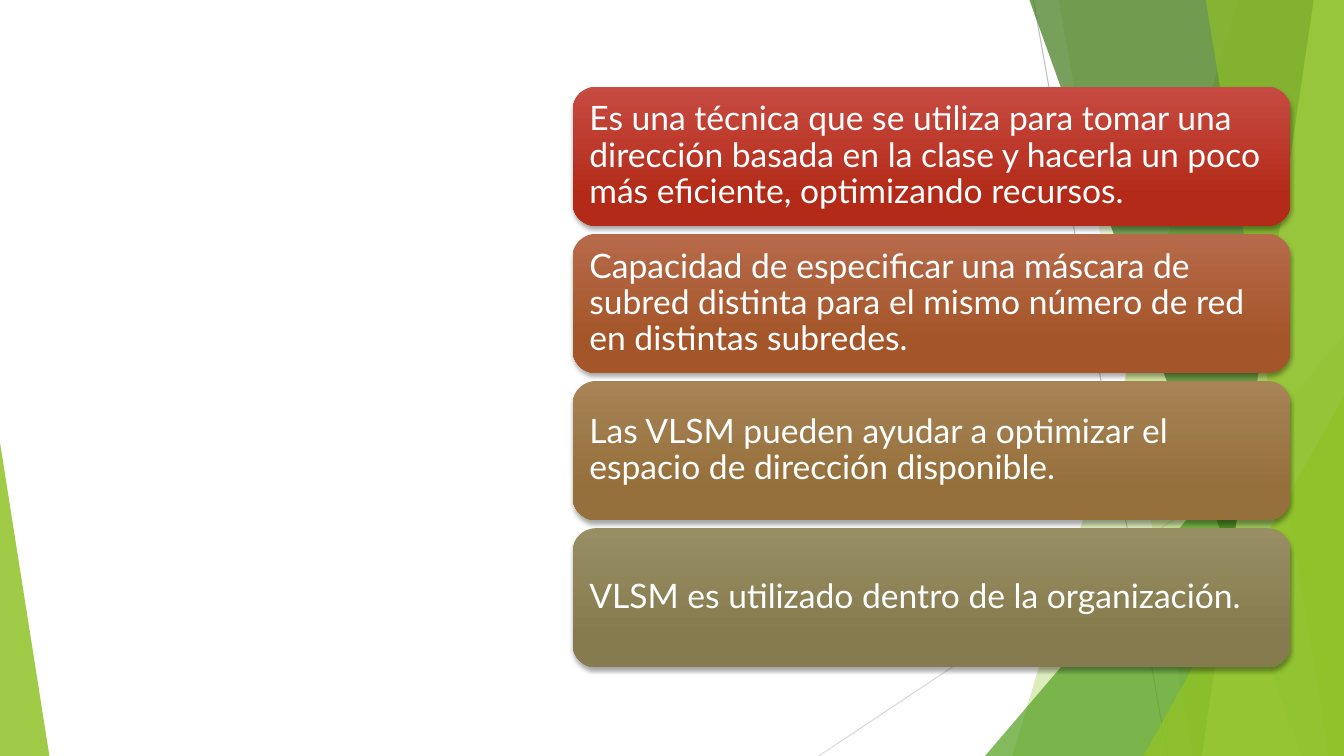
import pptx
import pptx.util
import pptx.dml.color
import pptx.enum.shapes
import pptx.enum.text
import pptx.oxml
import pptx.oxml.ns
from lxml import etree

PX = 9144  # 100 px to the inch
WIDE, HIGH = 1333, 750
RGB = pptx.dml.color.RGBColor
KIND = pptx.enum.shapes.MSO_SHAPE
qn = pptx.oxml.ns.qn

WHITE = RGB(0xFF, 0xFF, 0xFF)
GREY = RGB(0xBF, 0xBF, 0xBF)
PALE = RGB(0xD9, 0xD9, 0xD9)
LIME = RGB(0x90, 0xC2, 0x26)
LEAF = RGB(0x54, 0xA0, 0x21)
MOSS = RGB(0x3F, 0x78, 0x19)
MINT = RGB(0xC0, 0xE4, 0x74)

# Text, upper colour, lower colour
CARDS = [
    ("Es una técnica que se utiliza para tomar una dirección basada en la clase y "
     "hacerla un poco más eficiente, optimizando recursos.",
     RGB(0xC7, 0x4B, 0x42), RGB(0xB3, 0x2B, 0x18)),
    ("Capacidad de especificar una máscara de subred distinta para el mismo número "
     "de red en distintas subredes.",
     RGB(0xB7, 0x6A, 0x4A), RGB(0xA4, 0x55, 0x29)),
    ("Las VLSM pueden ayudar a optimizar el espacio de dirección disponible.",
     RGB(0xA7, 0x83, 0x56), RGB(0x95, 0x70, 0x3B)),
    ("VLSM es utilizado dentro de la organización.",
     RGB(0x98, 0x8E, 0x64), RGB(0x85, 0x7B, 0x4E)),
]


def px(*nums):
    return [pptx.util.Emu(n * PX) for n in nums]


def paint(shape, color, alpha):
    """Flat, see-through fill without line or shadow."""
    shape.shadow.inherit = False
    shape.line.fill.background()
    shape.fill.solid()
    shape.fill.fore_color.rgb = color
    tone = shape.fill._xPr.find(".//" + qn("a:srgbClr"))
    etree.SubElement(tone, qn("a:alpha"), val=str(alpha * 1000))


def add_line(slide, ends, color):
    line = slide.shapes.add_connector(
        pptx.enum.shapes.MSO_CONNECTOR.STRAIGHT, *px(*ends))
    line.line.color.rgb = color
    line.line.width = pptx.util.Pt(0.75)
    etree.SubElement(line._element.spPr, qn("a:effectLst"))


def add_band(slide, box, top, foot, color, alpha):
    """Band from a slanted left edge (top to foot) to the box's right side."""
    left, head, width, height = box
    right, base = left + width, head + height
    form = slide.shapes.build_freeform(left + top, head, scale=PX)
    form.add_line_segments([(right, head), (right, base), (left + foot, base)])
    paint(form.convert_to_shape(), color, alpha)


def add_wedge(slide, box, width, height, color, alpha, right=True):
    """Right-angled triangle in a lower corner of the box."""
    x = box[0] + box[2] - width if right else box[0]
    y = box[1] + box[3] - height
    wedge = slide.shapes.add_shape(KIND.ISOSCELES_TRIANGLE, *px(x, y, width, height))
    wedge.adjustments[0] = 1 if right else 0
    paint(wedge, color, alpha)


def add_decor(slide, box):
    x, y, width, height = box
    right, base = x + width, y + height
    # Thin lines
    add_line(slide, (x + 1025, y, x + 1158, base), GREY)
    add_line(slide, (right, y + 403, x + 812, base), PALE)
    # Overlapping facets, back to front
    add_band(slide, box, 1228, 1004, LIME, 30)
    add_band(slide, box, 1050, 1183, LIME, 20)
    add_wedge(slide, box, 356, 417, LEAF, 72)
    add_band(slide, box, 1021, 1291, MOSS, 70)
    add_band(slide, box, 1303, 1192, MINT, 70)
    add_band(slide, box, 1196, 1318, LIME, 65)
    add_wedge(slide, box, 199, 357, LIME, 80)
    add_wedge(slide, box, 49, 311, LIME, 85, right=False)


def add_shade(shape):
    shape.shadow.inherit = False
    effect = shape._element.spPr.find(qn("a:effectLst"))
    shade = etree.SubElement(
        effect, qn("a:outerShdw"), blurRad=str(pptx.util.Pt(3)),
        dist=str(pptx.util.Pt(2)), dir="5400000", rotWithShape="0")
    tone = etree.SubElement(shade, qn("a:srgbClr"), val="000000")
    etree.SubElement(tone, qn("a:alpha"), val="35000")


def add_card(slide, box, text, upper, lower):
    card = slide.shapes.add_shape(KIND.ROUNDED_RECTANGLE, *px(*box))
    add_shade(card)
    card.line.fill.background()
    # Gradient from top to bottom
    card.fill.gradient()
    card.fill.gradient_angle = 270
    for stop, color, place in zip(card.fill.gradient_stops, (upper, lower), (0, 0.78)):
        stop.color.rgb = color
        stop.position = place
    # Text
    frame = card.text_frame
    frame.word_wrap = True
    frame.vertical_anchor = pptx.enum.text.MSO_ANCHOR.MIDDLE
    (frame.margin_left, frame.margin_top,
     frame.margin_right, frame.margin_bottom) = px(10, 10, 10, 10)
    frame.text = text
    para = frame.paragraphs[0]
    para.alignment = pptx.enum.text.PP_ALIGN.LEFT
    para.line_spacing = 0.9
    font = para.runs[0].font
    font.name = "Lato"
    font.size = pptx.util.Pt(24)
    font.color.rgb = WHITE


def add_list(slide, box):
    left, top, width, height = box
    gap = 8
    tall = (height - gap * (len(CARDS) - 1)) // len(CARDS)
    for i, (text, upper, lower) in enumerate(CARDS):
        spot = (left, top + i * (tall + gap), width, tall)
        add_card(slide, spot, text, upper, lower)


def main():
    deck = pptx.Presentation()
    deck.slide_width, deck.slide_height = px(WIDE, HIGH)
    slide = deck.slides.add_slide(deck.slide_layouts[6])
    slide.background.fill.solid()
    slide.background.fill.fore_color.rgb = WHITE
    add_decor(slide, (0, 0, WIDE, HIGH))
    add_list(slide, (568, 86, 712, 576))
    deck.save("out.pptx")


if __name__ == "__main__":
    main()
